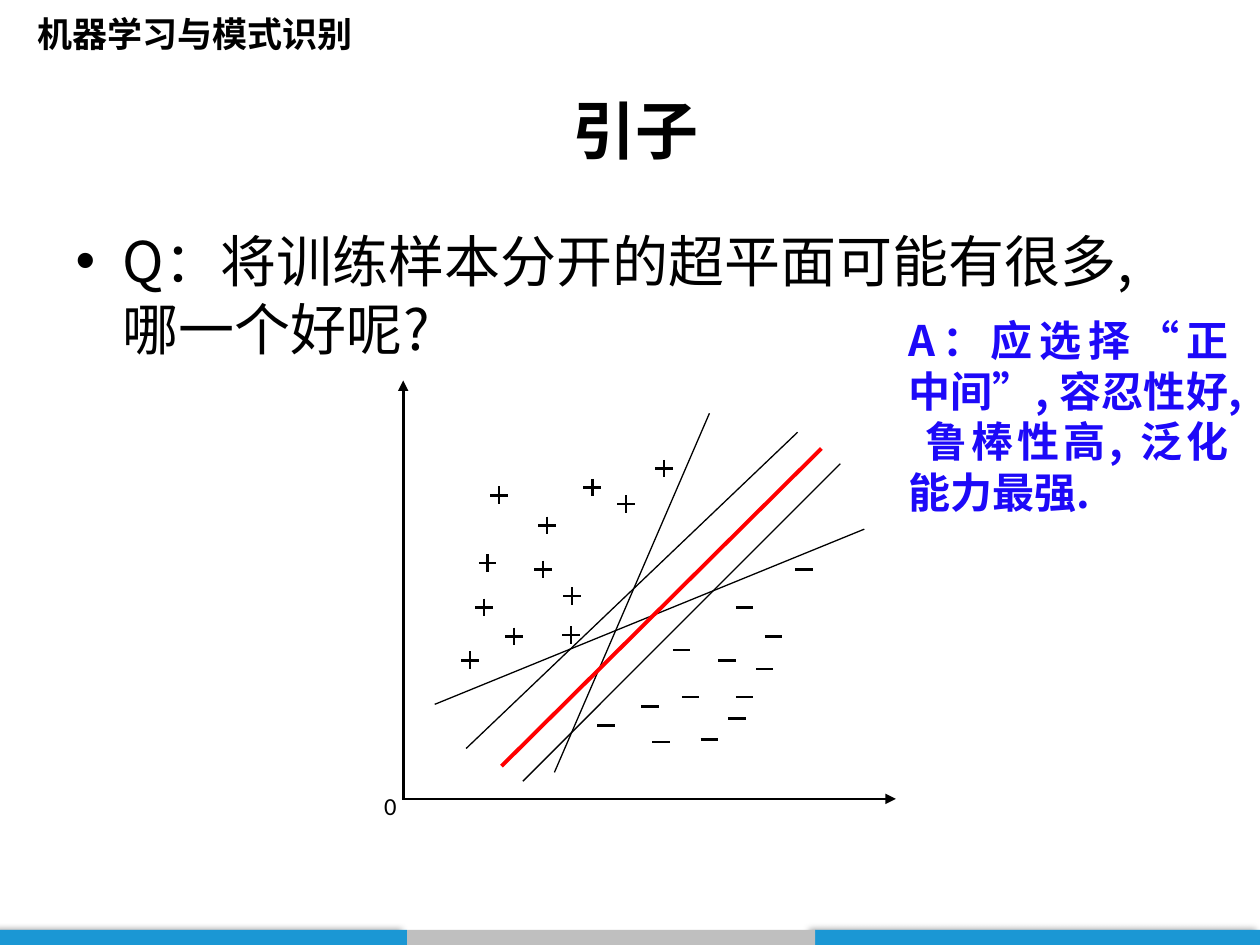
from lxml import etree
from pptx import Presentation
from pptx.dml.color import RGBColor
from pptx.enum.shapes import MSO_CONNECTOR, MSO_SHAPE
from pptx.enum.text import MSO_ANCHOR, MSO_AUTO_SIZE, PP_ALIGN
from pptx.oxml.ns import qn
from pptx.util import Pt

LINE, RECT = MSO_CONNECTOR.STRAIGHT, MSO_SHAPE.RECTANGLE
LEFT, CENTER, JUSTIFY = PP_ALIGN.LEFT, PP_ALIGN.CENTER, PP_ALIGN.JUSTIFY
TOP, MIDDLE = MSO_ANCHOR.TOP, MSO_ANCHOR.MIDDLE
GROW, FIXED = MSO_AUTO_SIZE.SHAPE_TO_FIT_TEXT, MSO_AUTO_SIZE.NONE
CJK = "Noto Sans CJK SC"
COLORS = {"ink": "000000", "best": "FF0000", "answer": "1D09F8",
          "blue": "1B97D4", "gray": "BFBFBF"}


def color(name):
    return RGBColor.from_string(COLORS[name])


def write(tf, text, size=20, font=CJK, fill="ink", bold=False, align=LEFT):
    """Put one formatted paragraph into a text frame."""
    p = tf.paragraphs[0]
    p.alignment = align
    r = p.add_run()
    r.text = text
    r.font.size, r.font.name, r.font.bold = Pt(size), font, bold
    r.font.color.rgb = color(fill)
    etree.SubElement(r.font._element, qn("a:ea"), typeface=CJK)


class SlideBuilder:
    mark = 5  # half the width of a plus or minus sign

    def __init__(self, slide):
        self.slide = slide
        self.shapes = slide.shapes

    def placeholder(self, idx, box, text, anchor, **style):
        sp = self.slide.placeholders[idx]
        sp.left, sp.top, sp.width, sp.height = map(Pt, box)
        tf = sp.text_frame
        tf.auto_size, tf.vertical_anchor = FIXED, anchor
        write(tf, text, **style)

    def text(self, box, text, wrap=False, **style):
        tf = self.shapes.add_textbox(*map(Pt, box)).text_frame
        tf.word_wrap, tf.auto_size = wrap, GROW
        write(tf, text, **style)

    def bar(self, left, width, fill, shadow=False):
        sp = self.shapes.add_shape(RECT, Pt(left), Pt(531.4), Pt(width), Pt(8.6))
        sp.fill.solid()
        sp.fill.fore_color.rgb = color(fill)
        sp.line.fill.background()
        sp.shadow.inherit = False
        if shadow:
            effects = sp._element.spPr.find(qn("a:effectLst"))
            outer = etree.SubElement(effects, qn("a:outerShdw"), blurRad=str(Pt(4)),
                                     dist=str(Pt(3)), dir="10800000", rotWithShape="0")
            tint = etree.SubElement(outer, qn("a:srgbClr"), val=COLORS["ink"])
            etree.SubElement(tint, qn("a:alpha"), val="40000")

    def line(self, x1, y1, x2, y2, width=0.75, fill="ink", arrow=False):
        cx = self.shapes.add_connector(LINE, Pt(x1), Pt(y1), Pt(x2), Pt(y2))
        cx.line.width = Pt(width)
        cx.line.color.rgb = color(fill)
        if arrow:
            etree.SubElement(cx.line._get_or_add_ln(), qn("a:tailEnd"), type="triangle")
        etree.SubElement(cx._element.spPr, qn("a:effectLst"))

    def minus(self, x, y):
        self.line(x - self.mark, y, x + self.mark, y, width=1.5)

    def plus(self, x, y):
        self.minus(x, y)
        self.line(x, y - self.mark, x, y + self.mark, width=1.5)


PLUSES = [(338.4, 278.6), (326.9, 340.6), (310.3, 325.4), (276.5, 347),
          (293.8, 363.6), (326.2, 362.9), (285.1, 283), (379.4, 267.8),
          (357.8, 288), (268.6, 377.3), (312.5, 300.2), (278.6, 321.8)]
MINUSES = [(437, 382.3), (389.5, 371.5), (377.6, 424.1), (346.3, 414.7),
           (421.2, 410.4), (425.5, 398.2), (371.5, 403.9), (442.1, 363.6),
           (394.6, 398.2), (405.4, 422.6), (415.4, 377.3), (425.5, 347),
           (459.4, 325.4)]
HYPERPLANES = [(493.9, 302.4, 248.4, 402.5), (405.4, 236.2, 316.8, 441.4),
               (480.2, 265, 298.8, 446.4), (455.8, 247, 266.4, 427.7)]


def main():
    prs = Presentation()
    prs.slide_width, prs.slide_height = Pt(720), Pt(540)
    s = SlideBuilder(prs.slides.add_slide(prs.slide_layouts[1]))

    # Footer bars and course name
    s.bar(465.8, 254.9, "blue", shadow=True)
    s.bar(0, 232.6, "blue", shadow=True)
    s.bar(232.6, 233.2, "gray")
    s.text((14.4, 3.6, 197.3, 31.7), "机器学习与模式识别", font="Calibri", bold=True)

    # Title and question
    s.placeholder(0, (139, 43.2, 448.6, 61.9), "引子", MIDDLE,
                  size=36, font="Arial", bold=True, align=CENTER)
    s.placeholder(1, (36, 126, 648, 356.4),
                  "Q：将训练样本分开的超平面可能有很多, 哪一个好呢?", TOP, size=32)

    # Axes
    s.line(230.4, 456.5, 230.4, 217.4, width=1.5, arrow=True)
    s.line(229.7, 456.5, 511.9, 456.5, width=1.5, arrow=True)
    s.text((212.4, 448.6, 21.6, 24.5), "0", size=14, font="Calibri")

    # Training samples
    for point in PLUSES:
        s.plus(*point)
    for point in MINUSES:
        s.minus(*point)

    # Candidate hyperplanes and the best one
    for ends in HYPERPLANES:
        s.line(*ends)
    s.line(286.6, 437.8, 469.4, 256.3, width=2.25, fill="best")

    # Answer
    s.text((511.9, 176.4, 197.3, 123.8),
           "A：应选择“正中间”, 容忍性好, 鲁棒性高, 泛化能力最强.",
           wrap=True, size=24, fill="answer", bold=True, align=JUSTIFY)

    prs.save("out.pptx")


if __name__ == "__main__":
    main()
